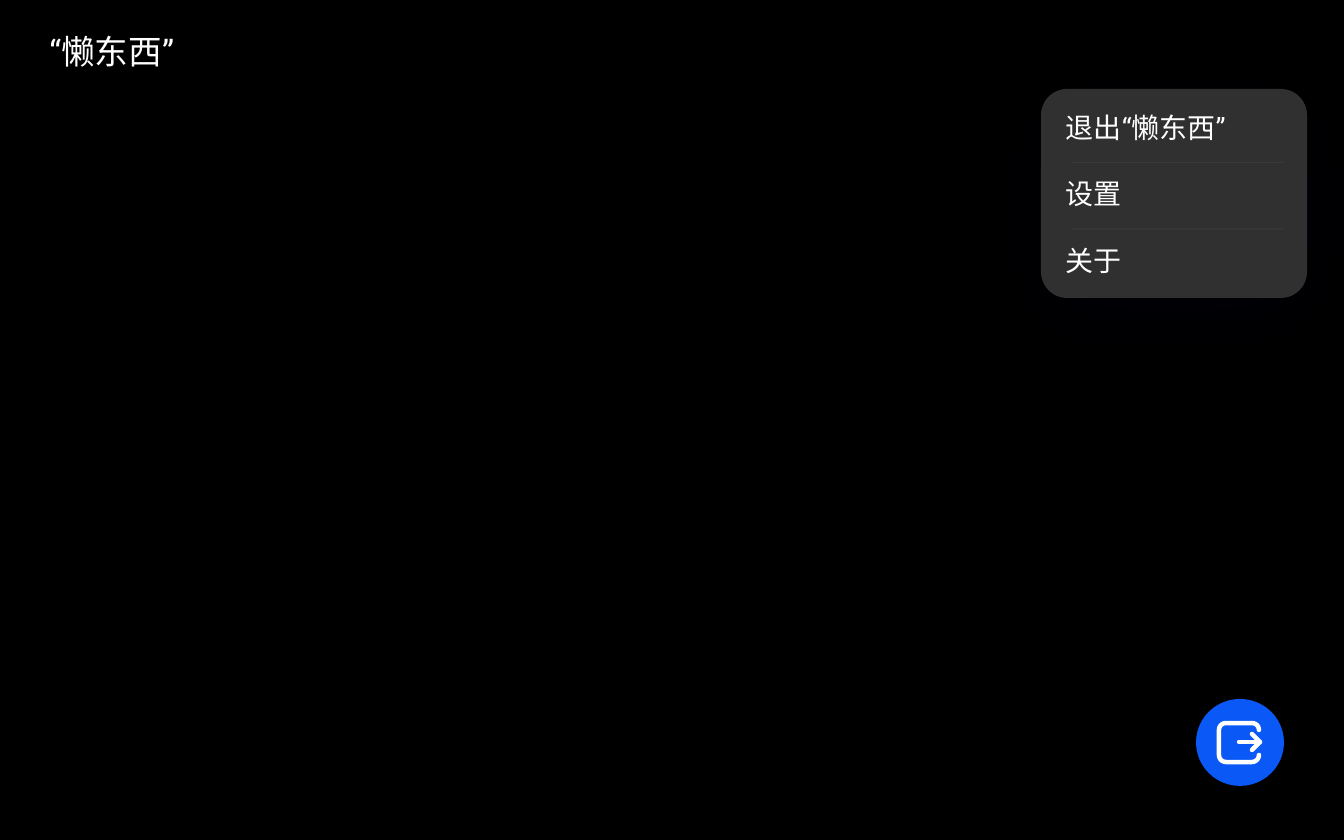
from math import cos, radians, sin

from lxml.etree import SubElement
from pptx import Presentation
from pptx.dml.color import RGBColor
from pptx.enum.lang import MSO_LANGUAGE_ID as Language
from pptx.enum.shapes import MSO_SHAPE as Shape
from pptx.enum.text import MSO_ANCHOR as Anchor, MSO_AUTO_SIZE as AutoSize, PP_ALIGN as Align
from pptx.oxml.ns import qn
from pptx.util import Emu, Inches, Pt

BLACK = RGBColor(0x00, 0x00, 0x00)
WHITE = RGBColor(0xFF, 0xFF, 0xFF)
PANEL = RGBColor(0x30, 0x30, 0x30)
BLUE = RGBColor(0x0A, 0x59, 0xF7)
SHADOW = RGBColor(0x00, 0x00, 0x1E)
FONT = "Roboto"
APP_NAME = "“懒东西”"
MENU = [f"退出{APP_NAME}", "设置", "关于"]
ROW_STEP = 66.5


def px(value):
    return Emu(round(value * 914400 / 134.4))


def write_text(shape, text, size=15, anchor=Anchor.MIDDLE):
    frame = shape.text_frame
    frame.word_wrap = True
    frame.auto_size = AutoSize.NONE
    frame.vertical_anchor = anchor
    para = frame.paragraphs[0]
    para.alignment = Align.LEFT
    span = para.add_run()
    span.text = text
    span.font.name = FONT
    span.font.size = Pt(size)
    span.font.color.rgb = WHITE
    span.font.language_id = Language.SIMPLIFIED_CHINESE
    SubElement(span.font._element, qn("a:ea"), typeface=FONT)


def add_box(page, kind, left, top, width, height, fill, radius=None, alpha=None):
    box = page.shapes.add_shape(kind, px(left), px(top), px(width), px(height))
    box.shadow.inherit = False
    box.fill.solid()
    box.fill.fore_color.rgb = fill
    box.line.fill.background()
    if radius is not None:
        box.adjustments[0] = radius
    if alpha is not None:
        color = box._element.spPr.find(qn("a:solidFill"))[0]
        SubElement(color, qn("a:alpha"), val=str(alpha * 1000))
    return box


def add_shadow(box, color, alpha, blur, distance):
    effects = box._element.spPr.find(qn("a:effectLst"))
    shadow = SubElement(effects, qn("a:outerShdw"), blurRad=str(Pt(blur)),
                        dist=str(Pt(distance)), dir="5400000", rotWithShape="0")
    tint = SubElement(shadow, qn("a:srgbClr"), val=str(color))
    SubElement(tint, qn("a:alpha"), val=str(alpha * 1000))


def add_stroke(page, points, width):
    start, *rest = [(px(x), px(y)) for x, y in points]
    builder = page.shapes.build_freeform(*start, scale=1.0)
    builder.add_line_segments(rest, close=False)
    stroke = builder.convert_to_shape()
    stroke.shadow.inherit = False
    stroke.fill.background()
    stroke.line.color.rgb = WHITE
    stroke.line.width = Pt(width)
    line = stroke.line._get_or_add_ln()
    line.set("cap", "rnd")
    SubElement(line, qn("a:round"))


def corner(x, y, radius, first):
    angles = [radians(first - step * 15) for step in range(7)]
    return [(x + radius * cos(a), y + radius * sin(a)) for a in angles]


def add_exit_button(page):
    add_box(page, Shape.OVAL, 1196, 699, 88, 87, BLUE)
    left, right, top, bottom, radius = 1226, 1252, 730, 755, 7
    frame = (corner(right, top, radius, 0) + corner(left, top, radius, 270)
             + corner(left, bottom, radius, 180) + corner(right, bottom, radius, 90))
    add_stroke(page, frame, 2.4)
    add_stroke(page, [(1239, 742), (1260, 742)], 2.4)
    add_stroke(page, [(1252, 734), (1260, 742), (1252, 750)], 2.4)


def add_menu(page):
    panel = add_box(page, Shape.ROUNDED_RECTANGLE, 1041, 89, 266, 209, PANEL, 0.125)
    add_shadow(panel, SHADOW, alpha=30, blur=50, distance=10)
    for index, label in enumerate(MENU):
        top = 94 + index * ROW_STEP
        row = add_box(page, Shape.ROUNDED_RECTANGLE, 1047, top, 255, 66, PANEL, 0.29)
        write_text(row, label)
    for index in range(len(MENU) - 1):
        add_box(page, Shape.RECTANGLE, 1072, 162 + index * ROW_STEP, 212, 1, WHITE, alpha=5)


def add_title(page):
    title = page.shapes.title
    title.left, title.top, title.width, title.height = map(px, (36, 24, 206, 54))
    write_text(title, APP_NAME, size=18, anchor=Anchor.TOP)


def main():
    deck = Presentation()
    deck.slide_width, deck.slide_height = Inches(10), Inches(6.25)
    page = deck.slides.add_slide(deck.slide_layouts[5])
    page.background.fill.solid()
    page.background.fill.fore_color.rgb = BLACK
    add_exit_button(page)
    add_menu(page)
    add_title(page)
    deck.save("out.pptx")


main()
